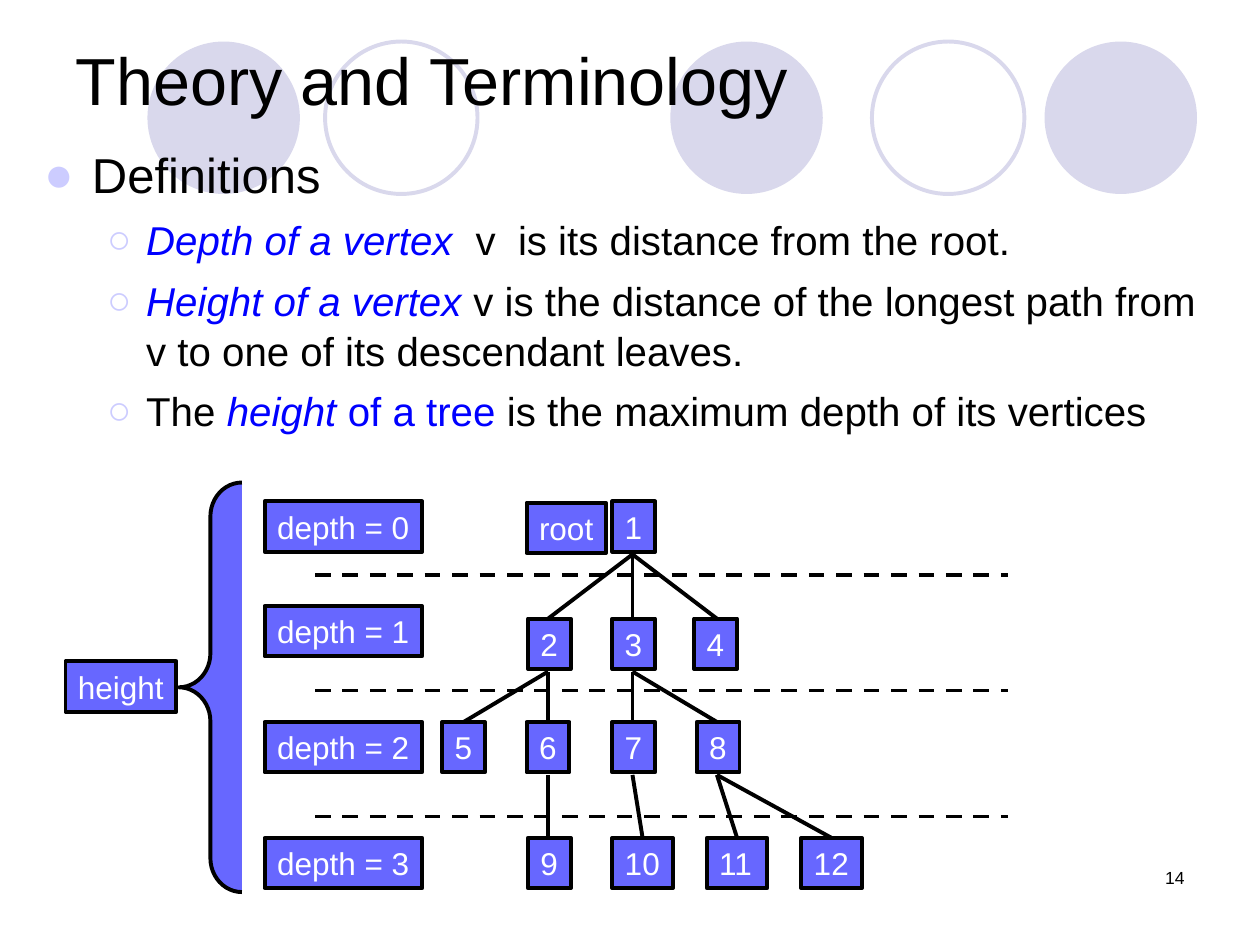
from lxml import etree
from pptx import Presentation
from pptx.dml.color import RGBColor
from pptx.enum.dml import MSO_LINE
from pptx.enum.shapes import MSO_CONNECTOR, MSO_SHAPE
from pptx.enum.text import MSO_ANCHOR, MSO_AUTO_SIZE, PP_ALIGN
from pptx.oxml.ns import qn
from pptx.util import Inches, Pt

BLACK = RGBColor(0, 0, 0)
WHITE = RGBColor(255, 255, 255)
BLUE = RGBColor(0, 0, 255)
VIOLET = RGBColor(0x67, 0x67, 0xFF)
PALE = RGBColor(0xD9, 0xD8, 0xEC)
BULLET = RGBColor(0xCC, 0xCC, 0xFF)

TITLE = "Theory and Terminology"
BODY = [
    (0, [("Definitions", BLACK, False)]),
    (1, [("Depth of a vertex", BLUE, True),
         ("  v  is its distance from the root.", BLACK, False)]),
    (1, [("Height of a vertex", BLUE, True),
         (" v is the distance of the longest path from v to one of its "
          "descendant leaves.", BLACK, False)]),
    (1, [("The ", BLACK, False), ("height", BLUE, True),
         (" of a tree", BLUE, False),
         (" is the maximum depth of its vertices", BLACK, False)]),
]
LEVELS = [("●", 28, 0.38, 0.38, 7), ("○", 23, 0.81, 0.31, 5.8)]
CIRCLES = [(5.32, True), (8.29, True), (1.17, True), (6.92, False), (2.58, False)]

ROWS = [3.98, 4.91, 5.73, 6.65]
COL, PITCH, LEAF_PITCH = 3.68, 0.67, 0.75
BOX_H, EDGE_GAP = 0.4, 0.42
TREE = [
    [("1", 4.86, 2, None)],
    [("2", 4.19, 1, "1"), ("3", 4.86, 2, "1"), ("4", 5.51, 3, "1")],
    [("5", 3.51, 0, "2"), ("6", 4.18, 1, "2"), ("7", 4.86, 2, "3"), ("8", 5.53, 3, "3")],
    [("9", 4.19, 0, "6"), ("10", 4.86, 1, "7"), ("11", 5.61, 2, "8"), ("12", 6.36, 3, "8")],
]
LABELS = [("root", 4.18, 3.99, 0.63), ("height", 0.52, 5.25, 0.88)]
DEPTH_TOPS = [3.98, 4.81, 5.73, 6.65]
DIVIDERS = [4.56, 5.48, 6.48]

prs = Presentation()
prs.slide_width, prs.slide_height = Inches(10), Inches(7.5)
s = prs.slides.add_slide(prs.slide_layouts[1])


def place(sp, *box):
    sp.left, sp.top, sp.width, sp.height = map(Inches, box)


def add_run(p, text, size, color, italic=False):
    r = p.add_run()
    r.text = text
    r.font.name, r.font.size, r.font.italic = "Arial", Pt(size), italic
    r.font.color.rgb = color


def add_shape(kind, box, fill=None, line=None):
    sp = s.shapes.add_shape(kind, *map(Inches, box))
    sp.shadow.inherit = False
    if fill is None:
        sp.fill.background()
    else:
        sp.fill.solid()
        sp.fill.fore_color.rgb = fill
    if line is None:
        sp.line.fill.background()
    else:
        sp.line.color.rgb = line
        sp.line.width = Pt(2.25)
    return sp


def add_box(text, left, top, width):
    sp = add_shape(MSO_SHAPE.RECTANGLE, (left, top, width, BOX_H), VIOLET, BLACK)
    tf = sp.text_frame
    tf.word_wrap = False
    tf.auto_size = MSO_AUTO_SIZE.SHAPE_TO_FIT_TEXT
    tf.vertical_anchor = MSO_ANCHOR.TOP
    p = tf.paragraphs[0]
    p.alignment = PP_ALIGN.LEFT
    add_run(p, text, 18, WHITE)


def add_line(x1, y1, x2, y2, dash=None):
    c = s.shapes.add_connector(MSO_CONNECTOR.STRAIGHT, *map(Inches, (x1, y1, x2, y2)))
    c.line.color.rgb = BLACK
    c.line.width = Pt(2.25)
    if dash:
        c.line.dash_style = dash
    etree.SubElement(c._element.spPr, qn("a:effectLst"))


def set_bullet(p, char, left, hang):
    pPr = p._p.get_or_add_pPr()
    pPr.set("marL", str(Inches(left)))
    pPr.set("indent", str(-Inches(hang)))
    clr = etree.SubElement(pPr, qn("a:buClr"))
    etree.SubElement(clr, qn("a:srgbClr"), val=str(BULLET))
    etree.SubElement(pPr, qn("a:buFont"), typeface="Arial")
    etree.SubElement(pPr, qn("a:buChar"), char=char)


for i, (left, filled) in enumerate(CIRCLES):
    sp = add_shape(MSO_SHAPE.OVAL, (left, 0.33, 1.21, 1.21),
                   PALE if filled else None, None if filled else PALE)
    s.shapes._spTree.insert(2 + i, sp._element)

title = s.shapes.title
place(title, 0.5, 0, 9, 1.25)
tf = title.text_frame
tf.auto_size = MSO_AUTO_SIZE.NONE
tf.vertical_anchor = MSO_ANCHOR.MIDDLE
tf.paragraphs[0].alignment = PP_ALIGN.LEFT
add_run(tf.paragraphs[0], TITLE, 38, BLACK)

body = s.placeholders[1]
place(body, 0.25, 1.08, 9.58, 2.42)
tf = body.text_frame
tf.auto_size = MSO_AUTO_SIZE.NONE
for i, (level, runs) in enumerate(BODY):
    p = tf.add_paragraph() if i else tf.paragraphs[0]
    char, size, left, hang, before = LEVELS[level]
    p.level = level
    set_bullet(p, char, left, hang)
    p.line_spacing = 1.04
    p.space_before = Pt(before if i else 0)
    for text, color, italic in runs:
        add_run(p, text, size, color, italic)

anchors = {}
for row, nodes in enumerate(TREE):
    top = ROWS[row]
    for text, left, col, parent in nodes:
        add_box(text, left, top, 0.34 if len(text) == 1 else 0.48)
        if row == len(TREE) - 1:
            x = COL + PITCH + col * LEAF_PITCH
        else:
            x = COL + col * PITCH
        anchors[text] = x, top + EDGE_GAP
        if parent:
            add_line(*anchors[parent], x, top)

for y in DIVIDERS:
    add_line(2.5, y, 8, y, MSO_LINE.DASH)
for depth, top in enumerate(DEPTH_TOPS):
    add_box(f"depth = {depth}", 2.1, top, 1.25)
for label in LABELS:
    add_box(*label)

brace = add_shape(MSO_SHAPE.LEFT_BRACE, (1.42, 3.83, 0.5, 3.25), VIOLET, BLACK)
brace.adjustments[0] = 0.54
brace.adjustments[1] = 0.5

tb = s.shapes.add_textbox(*map(Inches, (7.17, 6.83, 2.33, 0.5)))
tb.text_frame.word_wrap = True
p = tb.text_frame.paragraphs[0]
p.alignment = PP_ALIGN.RIGHT
add_run(p, "14", 10, BLACK)

prs.save("out.pptx")
